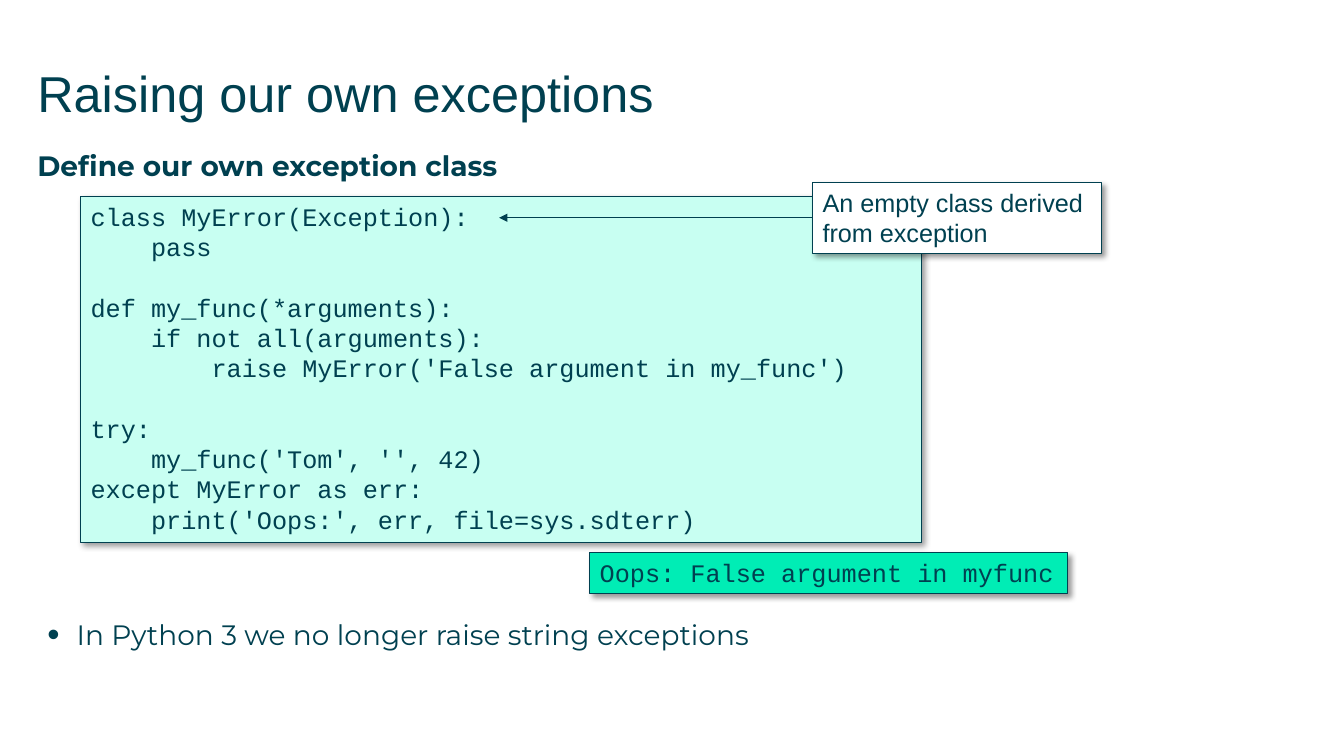
from dataclasses import dataclass

from lxml.etree import SubElement
from pptx import Presentation
from pptx.dml.color import RGBColor
from pptx.enum.shapes import MSO_CONNECTOR, MSO_SHAPE
from pptx.enum.text import MSO_ANCHOR, MSO_AUTO_SIZE, PP_ALIGN
from pptx.oxml.ns import qn
from pptx.util import Inches, Pt


@dataclass(frozen=True)
class Theme:
    ink: RGBColor = RGBColor.from_string("004050")
    mint: RGBColor = RGBColor.from_string("C8FFF2")
    green: RGBColor = RGBColor.from_string("00EDB5")
    white: RGBColor = RGBColor.from_string("FFFFFF")
    heading: str = "Arial"
    body: str = "Montserrat"
    code: str = "Courier New"
    title_size: Pt = Pt(36)
    body_size: Pt = Pt(20)
    box_size: Pt = Pt(18)
    box_pitch: Pt = Pt(21.6)
    line: Pt = Pt(0.75)


theme = Theme()


def add_run(paragraph, text, font_name, size, bold=False):
    run = paragraph.add_run()
    run.text = text
    run.font.name = font_name
    run.font.size = size
    run.font.bold = bold
    run.font.color.rgb = theme.ink


def add_box(slide, place, fill, lines, font_name, wrap):
    """Draw a shadowed box; an empty line becomes space before the next one."""
    box = slide.shapes.add_shape(MSO_SHAPE.RECTANGLE, *map(Inches, place))
    box.fill.solid()
    box.fill.fore_color.rgb = fill
    box.line.color.rgb = theme.ink
    box.line.width = theme.line
    box.shadow.inherit = False
    effects = box._element.spPr.find(qn("a:effectLst"))
    shadow = SubElement(effects, qn("a:outerShdw"), blurRad=str(Pt(4)), dist=str(Pt(3)),
                        dir=str(45 * 60000), algn="tl", rotWithShape="0")
    black = SubElement(shadow, qn("a:srgbClr"), val="000000")
    SubElement(black, qn("a:alpha"), val="40000")

    frame = box.text_frame
    frame.word_wrap = wrap
    frame.vertical_anchor = MSO_ANCHOR.TOP
    paragraph, gap = frame.paragraphs[0], False
    for number, line in enumerate(lines):
        if not line:
            gap = True
            continue
        if number:
            paragraph = frame.add_paragraph()
        paragraph.alignment = PP_ALIGN.LEFT
        paragraph.line_spacing = theme.box_pitch
        if gap:
            paragraph.space_before = theme.box_pitch
        add_run(paragraph, line, font_name, theme.box_size)
        gap = False


prs = Presentation()
prs.slide_width, prs.slide_height = Inches(13.33), Inches(7.5)
slide = prs.slides.add_slide(prs.slide_layouts[1])
title, body = slide.placeholders

# Title and body frames
for holder, place in ((title, (0.37, 0.61, 12.6, 0.88)), (body, (0.37, 1.47, 12.81, 5.7))):
    holder.left, holder.top, holder.width, holder.height = map(Inches, place)
    frame = holder.text_frame
    frame.margin_left = frame.margin_top = frame.margin_right = frame.margin_bottom = 0
    frame.vertical_anchor = MSO_ANCHOR.TOP
    frame.auto_size = MSO_AUTO_SIZE.NONE
    frame.word_wrap = True

heading = title.text_frame.paragraphs[0]
heading.alignment = PP_ALIGN.LEFT
heading.line_spacing = Pt(44)
add_run(heading, "Raising our own exceptions", theme.heading, theme.title_size)

# Lead line above the code and bullet below it
lead = body.text_frame.paragraphs[0]
lead_format = lead._p.get_or_add_pPr()
lead_format.set("marL", "0")
lead_format.set("indent", "0")
SubElement(lead_format, qn("a:buNone"))
lead.space_before = Pt(0)
lead.space_after = Pt(6.5)
add_run(lead, "Define our own exception class", theme.body, theme.body_size, bold=True)

remark = body.text_frame.add_paragraph()
remark.level = 1
remark_format = remark._p.get_or_add_pPr()
remark_format.set("marL", str(Inches(0.39)))
remark_format.set("indent", str(Inches(-0.29)))
SubElement(remark_format, qn("a:buSzPct"), val="125000")
SubElement(remark_format, qn("a:buFont"), typeface=theme.heading)
SubElement(remark_format, qn("a:buChar"), char="•")
remark.space_before = Pt(305)
remark.space_after = Pt(6.5)
add_run(remark, "In Python 3 we no longer raise string exceptions", theme.body, theme.body_size)

# Code, its callout and its output
code = """class MyError(Exception):
    pass

def my_func(*arguments):
    if not all(arguments):
        raise MyError('False argument in my_func')

try:
    my_func('Tom', '', 42)
except MyError as err:
    print('Oops:', err, file=sys.sdterr)"""
add_box(slide, (0.8, 1.95, 8.34, 3.43), theme.mint, code.splitlines(), theme.code, False)
add_box(slide, (8.06, 1.81, 2.87, 0.71), theme.white,
        ["An empty class derived from exception"], theme.heading, True)
add_box(slide, (5.85, 5.48, 4.74, 0.41), theme.green,
        ["Oops: False argument in myfunc"], theme.code, False)

# Arrow from the callout to the class line
arrow = slide.shapes.add_connector(
    MSO_CONNECTOR.STRAIGHT, Inches(8.06), Inches(2.16), Inches(4.95), Inches(2.16))
arrow.line.color.rgb = theme.ink
arrow.line.width = theme.line
SubElement(arrow.line._get_or_add_ln(), qn("a:tailEnd"), type="triangle")
SubElement(arrow._element.spPr, qn("a:effectLst"))

prs.save("out.pptx")
